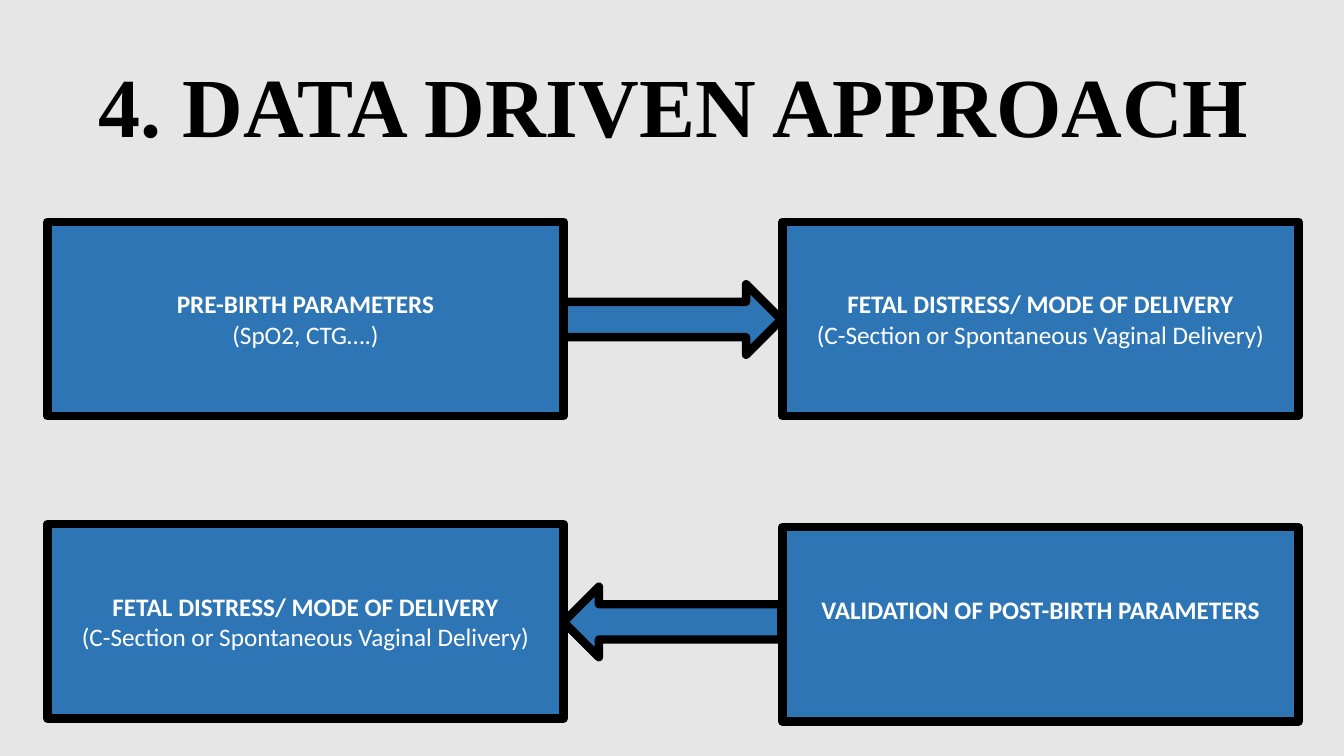
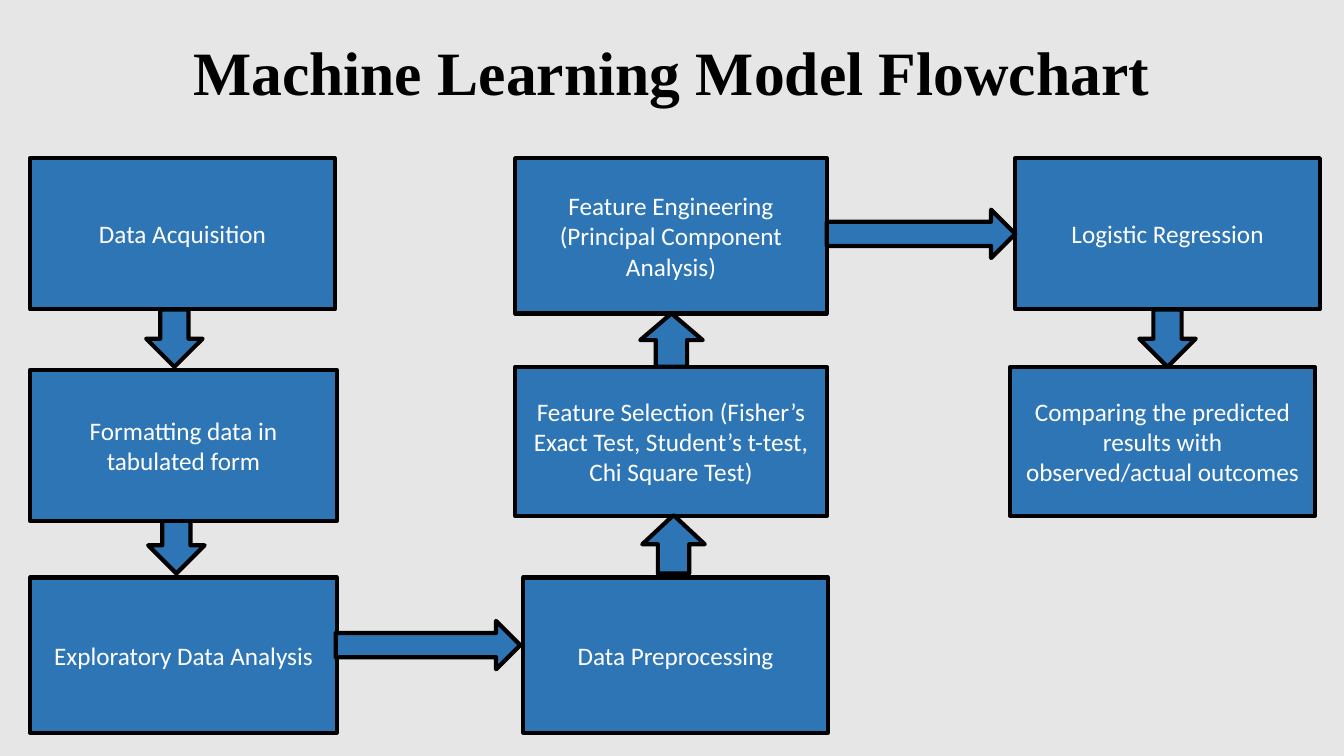
from dataclasses import dataclass

from pptx import Presentation
from pptx.dml.color import RGBColor
from pptx.enum.shapes import MSO_SHAPE
from pptx.enum.text import MSO_ANCHOR, PP_ALIGN
from pptx.util import Inches, Pt

RECTANGLE = MSO_SHAPE.RECTANGLE
RIGHT, LEFT = MSO_SHAPE.RIGHT_ARROW, MSO_SHAPE.LEFT_ARROW
UP, DOWN = MSO_SHAPE.UP_ARROW, MSO_SHAPE.DOWN_ARROW
TOP, MIDDLE, BOTTOM = MSO_ANCHOR.TOP, MSO_ANCHOR.MIDDLE, MSO_ANCHOR.BOTTOM
CENTER = PP_ALIGN.CENTER


@dataclass(frozen=True)
class Theme:
    background: RGBColor = RGBColor.from_string("E7E6E6")
    fill: RGBColor = RGBColor.from_string("2E75B6")
    dark: RGBColor = RGBColor.from_string("000000")
    light: RGBColor = RGBColor.from_string("FFFFFF")
    title_font: str = "Times New Roman"
    body_font: str = "Calibri"
    section_size: int = 60
    title_size: int = 44
    body_size: int = 18
    thick_line: int = 6
    thin_line: int = 3


class Deck:
    """Holds the theme, the presentation and the current slide."""

    def __init__(self, theme):
        self.theme = theme
        self.presentation = Presentation()
        self.presentation.slide_width = Inches(13.33)
        self.presentation.slide_height = Inches(7.5)
        background = self.presentation.slide_master.background.fill
        background.solid()
        background.fore_color.rgb = theme.background

    def new_slide(self, line_width):
        blank = self.presentation.slide_layouts[6]
        self.slide = self.presentation.slides.add_slide(blank)
        self.line_width = line_width

    def add_run(self, paragraph, text, font, size, color, bold=False):
        run = paragraph.add_run()
        run.text = text
        run.font.name = font
        run.font.size = Pt(size)
        run.font.color.rgb = color
        run.font.bold = bold

    def title(self, text, box, size, anchor=TOP, line_spacing=1.0):
        shape = self.slide.shapes.add_textbox(*map(Inches, box))
        frame = shape.text_frame
        frame.word_wrap = True
        frame.vertical_anchor = anchor
        paragraph = frame.paragraphs[0]
        paragraph.alignment = CENTER
        paragraph.line_spacing = line_spacing
        self.add_run(paragraph, text, self.theme.title_font, size,
                     self.theme.dark, bold=True)

    def block(self, preset, box):
        shape = self.slide.shapes.add_shape(preset, *map(Inches, box))
        shape.shadow.inherit = False
        shape.fill.solid()
        shape.fill.fore_color.rgb = self.theme.fill
        shape.line.color.rgb = self.theme.dark
        shape.line.width = Pt(self.line_width)
        return shape

    def box(self, box, text, heading=None, bottom_inset=0.05):
        frame = self.block(RECTANGLE, box).text_frame
        frame.word_wrap = True
        frame.vertical_anchor = MIDDLE
        frame.margin_bottom = Inches(bottom_inset)
        paragraph = frame.paragraphs[0]
        paragraph.alignment = CENTER
        style = (self.theme.body_font, self.theme.body_size, self.theme.light)
        if heading:
            self.add_run(paragraph, heading, *style, bold=True)
            if text:
                paragraph.add_line_break()
        if text:
            self.add_run(paragraph, text, *style)


theme = Theme()
deck = Deck(theme)

# Slide 1: data driven approach
deck.new_slide(theme.thick_line)
left_column, right_column, arrow_left = 0.47, 7.76, 5.59
box_size, arrow_size = (5.12, 1.93), (2.16, 0.7)
delivery = "FETAL DISTRESS/ MODE OF DELIVERY"
delivery_modes = "(C-Section or Spontaneous Vaginal Delivery)"

deck.box((left_column, 2.2, *box_size), "(SpO2, CTG….)", "PRE-BIRTH PARAMETERS")
deck.box((right_column, 2.2, *box_size), delivery_modes, delivery)
deck.box((left_column, 5.2, *box_size), delivery_modes, delivery)
deck.box((right_column, 5.23, *box_size), None,
         "VALIDATION OF POST-BIRTH PARAMETERS", bottom_inset=0.35)
for preset, top in ((RIGHT, 2.82), (LEFT, 5.82)):
    deck.block(preset, (arrow_left, top, *arrow_size))
deck.title("4. DATA DRIVEN APPROACH", (0.25, 0.36, 12.86, 1.23),
           theme.section_size, BOTTOM, 0.9)

# Slide 2: model flowchart
deck.new_slide(theme.thin_line)
top_row, middle_row, bottom_row = 1.57, 3.64, 5.73

# Steps
for box, text in (
    ((0.3, top_row, 3.02, 1.5), "Data Acquisition"),
    ((0.3, bottom_row, 3.04, 1.54), "Exploratory Data Analysis"),
    ((5.19, bottom_row, 3.02, 1.54), "Data Preprocessing"),
    ((5.11, middle_row, 3.09, 1.48),
     "Feature Selection (Fisher’s Exact Test, Student’s t-test, Chi Square Test)"),
    ((5.11, top_row, 3.09, 1.54),
     "Feature Engineering (Principal Component Analysis)"),
    ((10.07, top_row, 3.02, 1.5), "Logistic Regression"),
    ((10.02, middle_row, 3.02, 1.48),
     "Comparing the predicted results with observed/actual outcomes"),
):
    deck.box(box, text)

# Arrows between the steps
for preset, box in (
    (DOWN, (1.45, 3.07, 0.56, 0.57)),
    (DOWN, (1.47, 5.11, 0.56, 0.58)),
    (RIGHT, (3.33, 6.16, 1.83, 0.48)),
    (UP, (6.37, 5.11, 0.62, 0.58)),
    (UP, (6.35, 3.11, 0.62, 0.53)),
    (RIGHT, (8.2, 2.08, 1.87, 0.48)),
    (DOWN, (11.3, 3.07, 0.56, 0.57)),
):
    deck.block(preset, box)

deck.title("Machine Learning Model Flowchart", (0, 0.29, 13.33, 0.84),
           theme.title_size)
# This step covers the tail of the arrow below it
deck.box((0.3, 3.67, 3.04, 1.5), "Formatting data in tabulated form")

deck.presentation.save("out.pptx")
